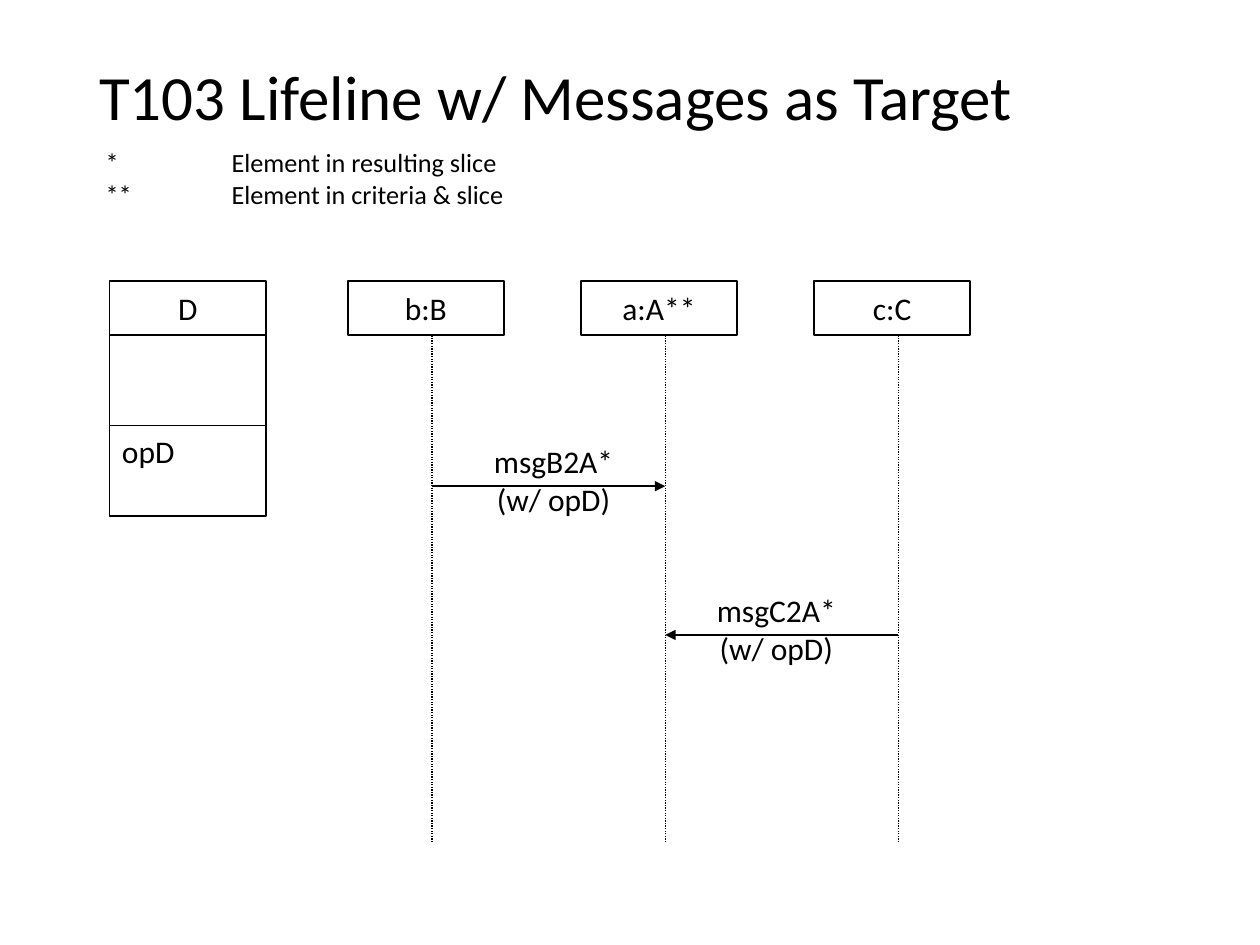
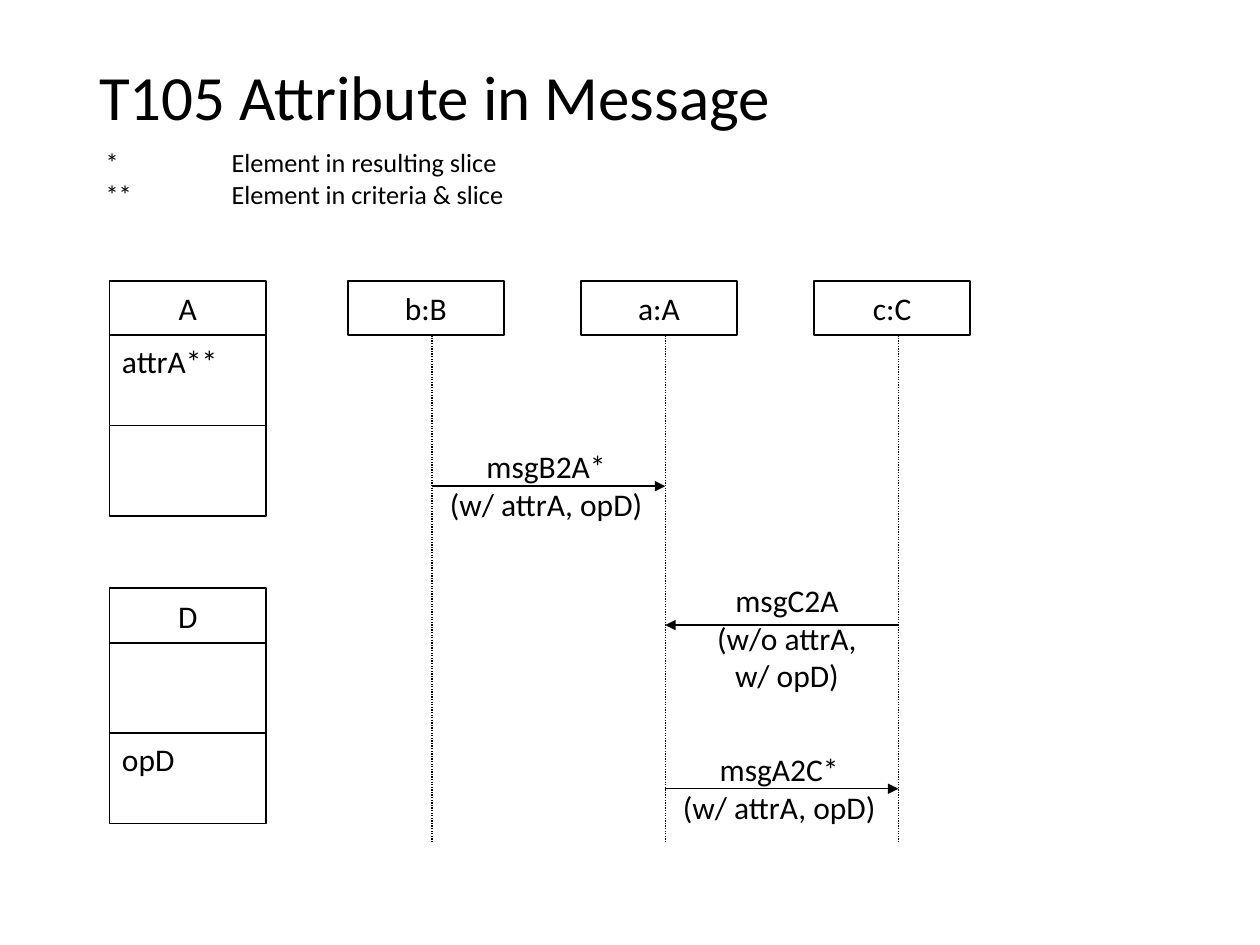
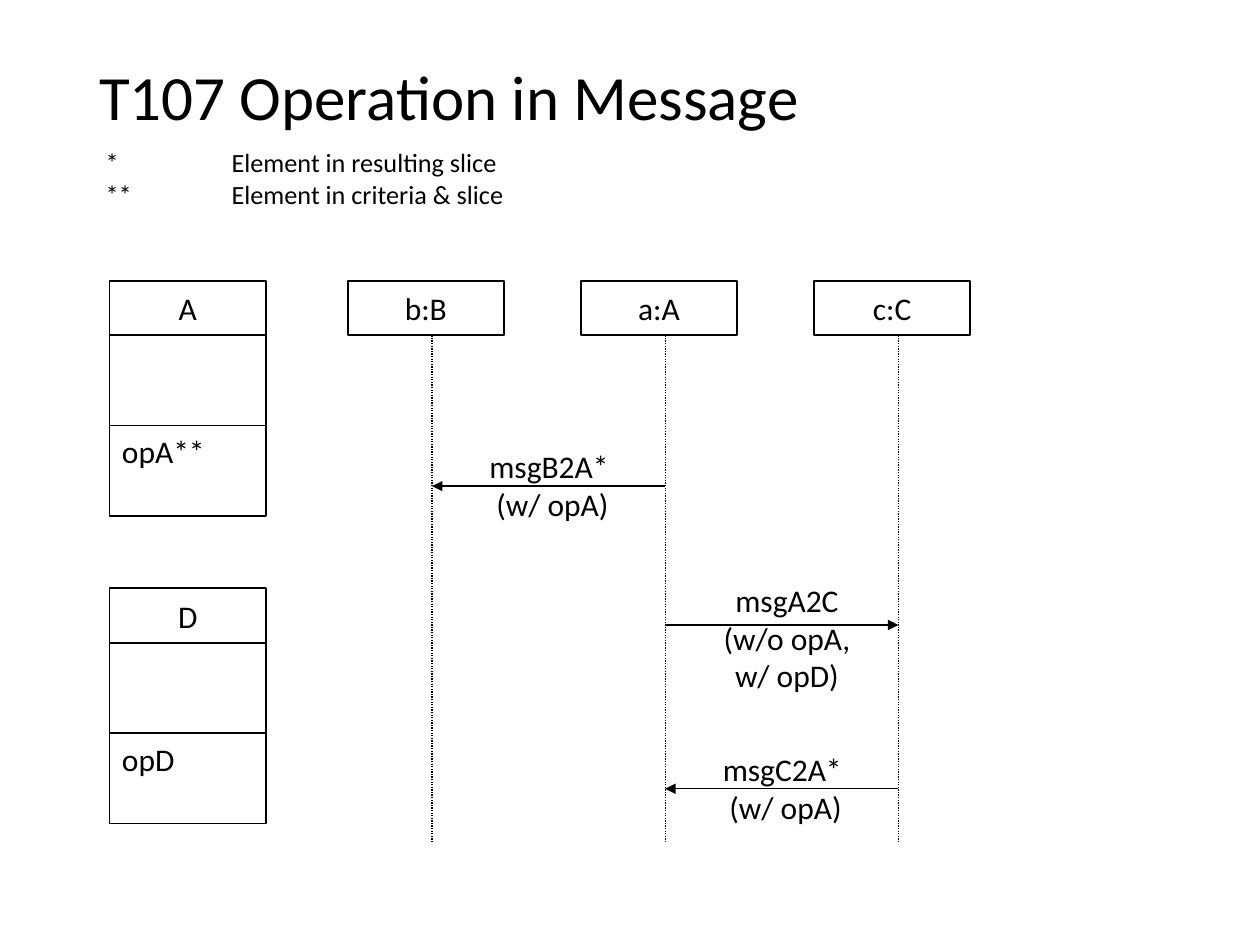
from lxml import etree
from pptx import Presentation
from pptx import util as u
from pptx.dml.color import RGBColor
from pptx.enum import dml, shapes, text
from pptx.oxml.ns import qn

COLORS = {"ink": "000000", "paper": "FFFFFF"}
CENTER, LEFT, RIGHT = text.PP_ALIGN.CENTER, text.PP_ALIGN.LEFT, text.PP_ALIGN.RIGHT
TOP, MIDDLE = text.MSO_ANCHOR.TOP, text.MSO_ANCHOR.MIDDLE

BOX_W, HEAD_H, ROW_H = 3.15, 1.1, 1.82
HEAD_TOP, LIFELINE_END = 5.66, 16.99
CLASS_LEFT, CLASS_STEP = 2.21, 6.2
LANES = {name: 8.71 + 4.7 * i for i, name in enumerate("bac")}
LANE_OFFSET = 1.7  # from the left edge of a lifeline head to its line


class Diagram:
    """Holds the shared style and the slide being drawn; lengths are in cm."""

    font = "Calibri"

    def __init__(self, prs):
        self.prs = prs
        self.s = None

    def color(self, name):
        return RGBColor.from_string(COLORS[name])

    def set_text(self, sp, content, size=18, align=LEFT, anchor=TOP, wrap=True):
        tf = sp.text_frame
        tf.text = content
        tf.auto_size = text.MSO_AUTO_SIZE.NONE
        tf.word_wrap = wrap
        tf.vertical_anchor = anchor
        tf.margin_left = tf.margin_right = u.Cm(0.25)
        tf.margin_top = tf.margin_bottom = u.Cm(0.13)
        for p in tf.paragraphs:
            p.alignment = align
            p.font.name = self.font
            p.font.size = u.Pt(size)
            p.font.color.rgb = self.color("ink")
        return tf

    def new_slide(self, title):
        self.s = self.prs.slides.add_slide(self.prs.slide_layouts[5])
        sp = self.s.shapes.title
        sp.left, sp.top, sp.width, sp.height = map(u.Cm, (1.75, 1.02, 21.92, 1.98))
        tf = self.set_text(sp, title, 36, anchor=MIDDLE)
        tf.paragraphs[0].line_spacing = 0.9
        self.legend()

    def textbox(self, left, top, width, height, content, **style):
        sp = self.s.shapes.add_textbox(*map(u.Cm, (left, top, width, height)))
        return self.set_text(sp, content, **style)

    def legend(self):
        tf = self.textbox(1.88, 2.82, 10.52, 1.57,
                          "*\tElement in resulting slice\n**\tElement in criteria & slice",
                          size=15)
        for p in tf.paragraphs:
            tabs = etree.Element(qn("a:tabLst"))
            etree.SubElement(tabs, qn("a:tab"), pos=str(u.Cm(2.54)), algn="l")
            p._p.get_or_add_pPr().insert(0, tabs)

    def box(self, left, top, height, content="", **style):
        sp = self.s.shapes.add_shape(shapes.MSO_SHAPE.RECTANGLE,
                                     *map(u.Cm, (left, top, BOX_W, height)))
        sp.shadow.inherit = False
        sp.fill.solid()
        sp.fill.fore_color.rgb = self.color("paper")
        sp.line.color.rgb = self.color("ink")
        sp.line.width = u.Pt(0.94)
        if content:
            self.set_text(sp, content, **style)

    def line(self, x1, y1, x2, y2, dotted=False, arrow=False):
        c = self.s.shapes.add_connector(shapes.MSO_CONNECTOR.STRAIGHT,
                                        *map(u.Cm, (x1, y1, x2, y2)))
        c.line.color.rgb = self.color("ink")
        c.line.width = u.Pt(0.75)
        if dotted:
            c.line.dash_style = dml.MSO_LINE.ROUND_DOT
        sp_pr = c._element.spPr
        if arrow:
            etree.SubElement(sp_pr.find(qn("a:ln")), qn("a:tailEnd"), type="triangle")
        etree.SubElement(sp_pr, qn("a:effectLst"))

    def lifeline(self, lane, name):
        x = LANES[lane]
        self.box(x - LANE_OFFSET, HEAD_TOP, HEAD_H, name, align=CENTER, anchor=MIDDLE)
        self.line(x, HEAD_TOP + HEAD_H, x, LIFELINE_END, dotted=True)

    def class_box(self, index, name, attribute="", operation=""):
        top = HEAD_TOP + index * CLASS_STEP
        self.box(CLASS_LEFT, top, HEAD_H, name, align=CENTER, anchor=MIDDLE)
        for i, member in enumerate((attribute, operation)):
            self.box(CLASS_LEFT, top + HEAD_H + i * ROW_H, ROW_H, member, wrap=False)

    def message(self, sender, receiver, y, label, left, width, rise, align=CENTER):
        """Draw an arrow between two lifelines; its label starts rise above it."""
        self.line(LANES[sender], y, LANES[receiver], y, arrow=True)
        self.textbox(left, y - rise, width, 1.78, label, align=align, wrap=False)


SLIDES = [
    ("T103 Lifeline w/ Messages as Target", "a:A**",
     [("D", "", "opD")],
     [("b", "a", 9.8, "msgB2A*\n(w/ opD)", 9.7, 2.92, 1.02),
      ("c", "a", 12.8, "msgC2A*\n(w/ opD)", 14.2, 2.9, 1.02)]),
    ("T105 Attribute in Message", "a:A",
     [("A", "attrA**", ""), ("D", "", "opD")],
     [("b", "a", 9.8, "msgB2A*\n(w/ attrA, opD)", 9.5, 3.02, 0.91),
      ("c", "a", 12.6, "msgC2A\n(w/o attrA,\nw/ opD)", 14.2, 3.33, 1.02),
      ("a", "c", 15.9, "msgA2C*\n(w/ attrA, opD)", 14.2, 3.02, 0.91)]),
    ("T107 Operation in Message", "a:A",
     [("A", "", "opA**"), ("D", "", "opD")],
     [("a", "b", 9.8, "msgB2A*\n(w/ opA)", 9.5, 3.02, 0.91, RIGHT),
      ("a", "c", 12.6, "msgA2C\n(w/o opA,\nw/ opD)", 14.2, 3.33, 1.02),
      ("c", "a", 15.9, "msgC2A*\n(w/ opA)", 14.2, 3.02, 0.91, RIGHT)]),
]


def main():
    prs = Presentation()
    prs.slide_width, prs.slide_height = u.Cm(25.4), u.Cm(19.05)
    diagram = Diagram(prs)
    for title, target, classes, messages in SLIDES:
        diagram.new_slide(title)
        for lane, name in zip(LANES, ("b:B", target, "c:C")):
            diagram.lifeline(lane, name)
        for i, members in enumerate(classes):
            diagram.class_box(i, *members)
        for message in messages:
            diagram.message(*message)
    prs.save("out.pptx")


if __name__ == "__main__":
    main()
